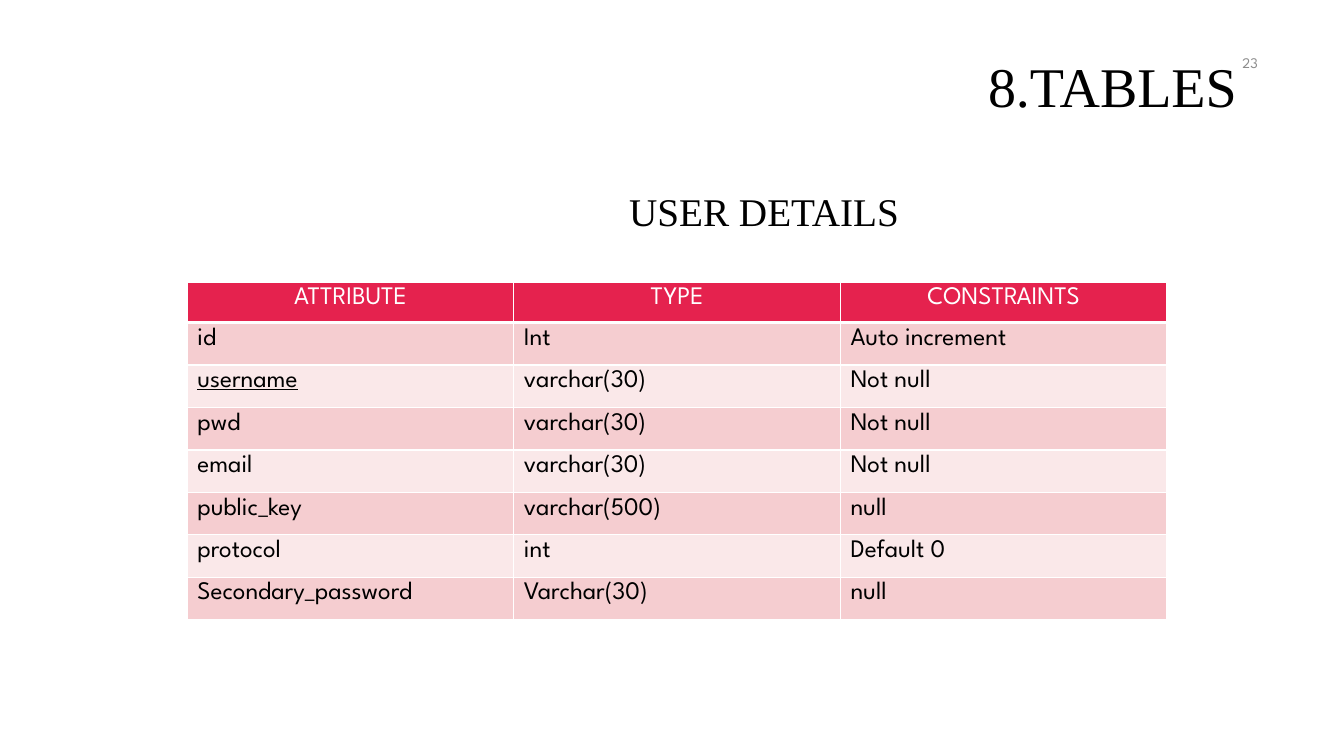
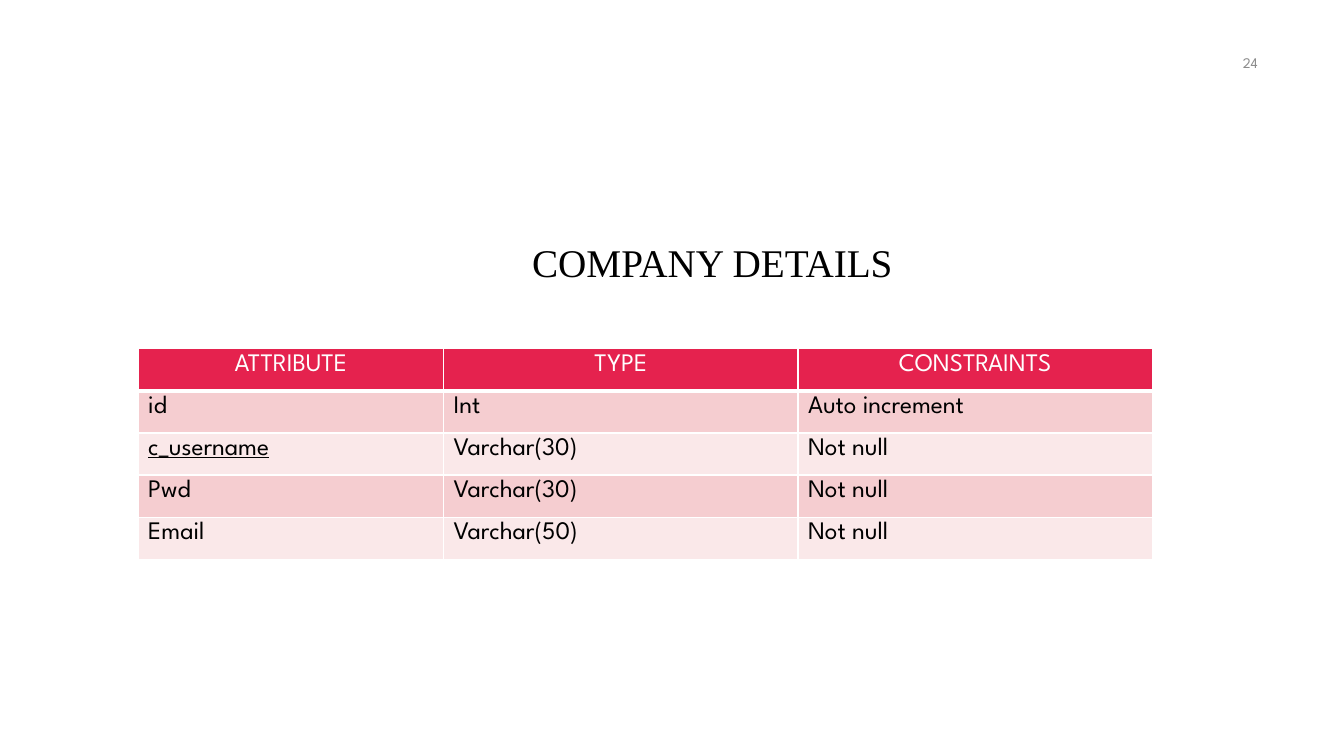
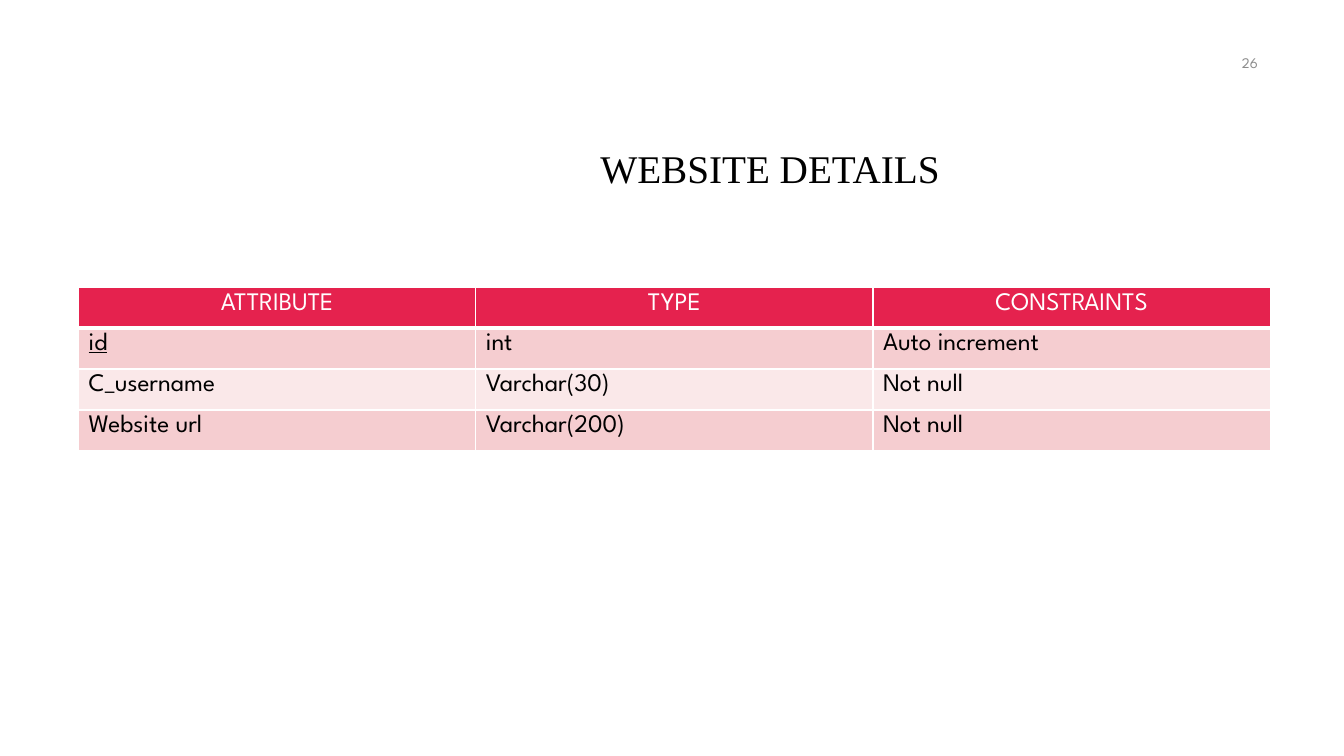
"""Builds three slides that describe database tables."""
from lxml.etree import SubElement
from pptx import Presentation
from pptx.dml.color import RGBColor
from pptx.enum.text import MSO_ANCHOR as Anchor, PP_ALIGN as Align
from pptx.oxml.ns import qn
from pptx.util import Cm, Pt

COLORS = {
    "ink": "000000",
    "paper": "FFFFFF",
    "header": "E5224E",
    "odd_row": "F5CDD0",
    "even_row": "FAE8E9",
    "page_number": "8C8C8C",
}
SERIF = "Times New Roman"
SANS = "League Spartan"
COLUMN_NAMES = ("ATTRIBUTE", "TYPE", "CONSTRAINTS")

USER_FIELDS = [
    ("id", "Int", "Auto increment"),
    ("username", "varchar(30)", "Not null"),
    ("pwd", "varchar(30)", "Not null"),
    ("email", "varchar(30)", "Not null"),
    ("public_key", "varchar(500)", "null"),
    ("protocol", "int", "Default 0"),
    ("Secondary_password", "Varchar(30)", "null"),
]
COMPANY_FIELDS = [
    ("id", "Int", "Auto increment"),
    ("c_username", "Varchar(30)", "Not null"),
    ("Pwd", "Varchar(30)", "Not null"),
    ("Email", "Varchar(50)", "Not null"),
]
WEBSITE_FIELDS = [
    ("id", "int", "Auto increment"),
    ("C_username", "Varchar(30)", "Not null"),
    ("Website url", "Varchar(200)", "Not null"),
]


def color(name):
    return RGBColor.from_string(COLORS[name])


def write(frame, text, *, size, font=SANS, ink="ink", align=Align.LEFT,
          spacing=None, underline=False):
    paragraph = frame.paragraphs[0]
    paragraph.alignment = align
    paragraph.line_spacing = spacing
    run = paragraph.add_run()
    run.text = text
    run.font.size = Pt(size)
    run.font.name = font
    run.font.bold = False
    run.font.underline = underline
    run.font.color.rgb = color(ink)


def add_text(slide, text, box, *, anchor=Anchor.MIDDLE, wrap=True, **text_format):
    frame = slide.shapes.add_textbox(*map(Cm, box)).text_frame
    frame.word_wrap = wrap
    frame.vertical_anchor = anchor
    write(frame, text, **text_format)


def add_heading(slide, text, box, *, size=28, align=Align.CENTER, spacing=0.9, **placing):
    add_text(slide, text, box, size=size, font=SERIF, align=align,
             spacing=spacing, **placing)


def add_page_number(slide, number):
    add_text(slide, str(number), (24.33, 1.07, 7.62, 1.02), size=10.5,
             ink="page_number", align=Align.RIGHT)


def draw_borders(cell, bottom_width):
    properties = cell._tc.get_or_add_tcPr()
    for side, width in (("L", 1), ("R", 1), ("T", 1), ("B", bottom_width)):
        border = SubElement(properties, qn(f"a:ln{side}"), w=str(Pt(width)))
        fill = SubElement(border, qn("a:solidFill"))
        SubElement(fill, qn("a:srgbClr"), val=COLORS["paper"])


def fill_cell(cell, text, fill, *, bottom_width=1, **text_format):
    draw_borders(cell, bottom_width)
    cell.fill.solid()
    cell.fill.fore_color.rgb = color(fill)
    write(cell.text_frame, text, size=18, **text_format)


def add_field_table(slide, fields, key, *, left, top, widths, row_height,
                    header_height=None):
    heights = [header_height or row_height] + [row_height] * len(fields)
    table = slide.shapes.add_table(
        len(heights), len(widths), Cm(left), Cm(top),
        Cm(sum(widths)), Cm(sum(heights))).table
    for column, width in zip(table.columns, widths):
        column.width = Cm(width)
    for row, height in zip(table.rows, heights):
        row.height = Cm(height)
    for cell, name in zip(table.rows[0].cells, COLUMN_NAMES):
        fill_cell(cell, name, "header", bottom_width=3, ink="paper",
                  align=Align.CENTER)
    for index, field in enumerate(fields, start=1):
        band = "odd_row" if index % 2 else "even_row"
        for cell, text in zip(table.rows[index].cells, field):
            fill_cell(cell, text, band, underline=text == key)


def add_user_slide(slide):
    add_heading(slide, "USER DETAILS", (4.65, 3.56, 29.21, 3.68))
    add_field_table(slide, USER_FIELDS, "username", left=4.72, top=7.11,
                    widths=[8.23] * 3, row_height=1.07, header_height=0.97)
    add_heading(slide, "8.TABLES", (2.21, 0.41, 29.21, 3.68), size=40,
                align=Align.RIGHT)
    add_page_number(slide, 23)


def add_company_slide(slide):
    add_field_table(slide, COMPANY_FIELDS, "c_username", left=3.48, top=8.79,
                    widths=[7.7, 8.93, 8.93], row_height=1.06)
    add_heading(slide, "COMPANY DETAILS", (13.16, 5.89, 9.7, 1.45),
                align=Align.LEFT, spacing=None, anchor=Anchor.TOP, wrap=False)
    add_page_number(slide, 24)


def add_website_slide(slide):
    add_heading(slide, "WEBSITE DETAILS", (0, 2.51, 23.93, 3.58), align=Align.RIGHT)
    add_field_table(slide, WEBSITE_FIELDS, "id", left=1.98, top=7.24,
                    widths=[10.01] * 3, row_height=1.03)
    add_page_number(slide, 26)


def main():
    deck = Presentation()
    deck.slide_width, deck.slide_height = Cm(33.87), Cm(19.05)
    blank = deck.slide_layouts[6]
    for build in (add_user_slide, add_company_slide, add_website_slide):
        build(deck.slides.add_slide(blank))
    deck.save("out.pptx")


main()
